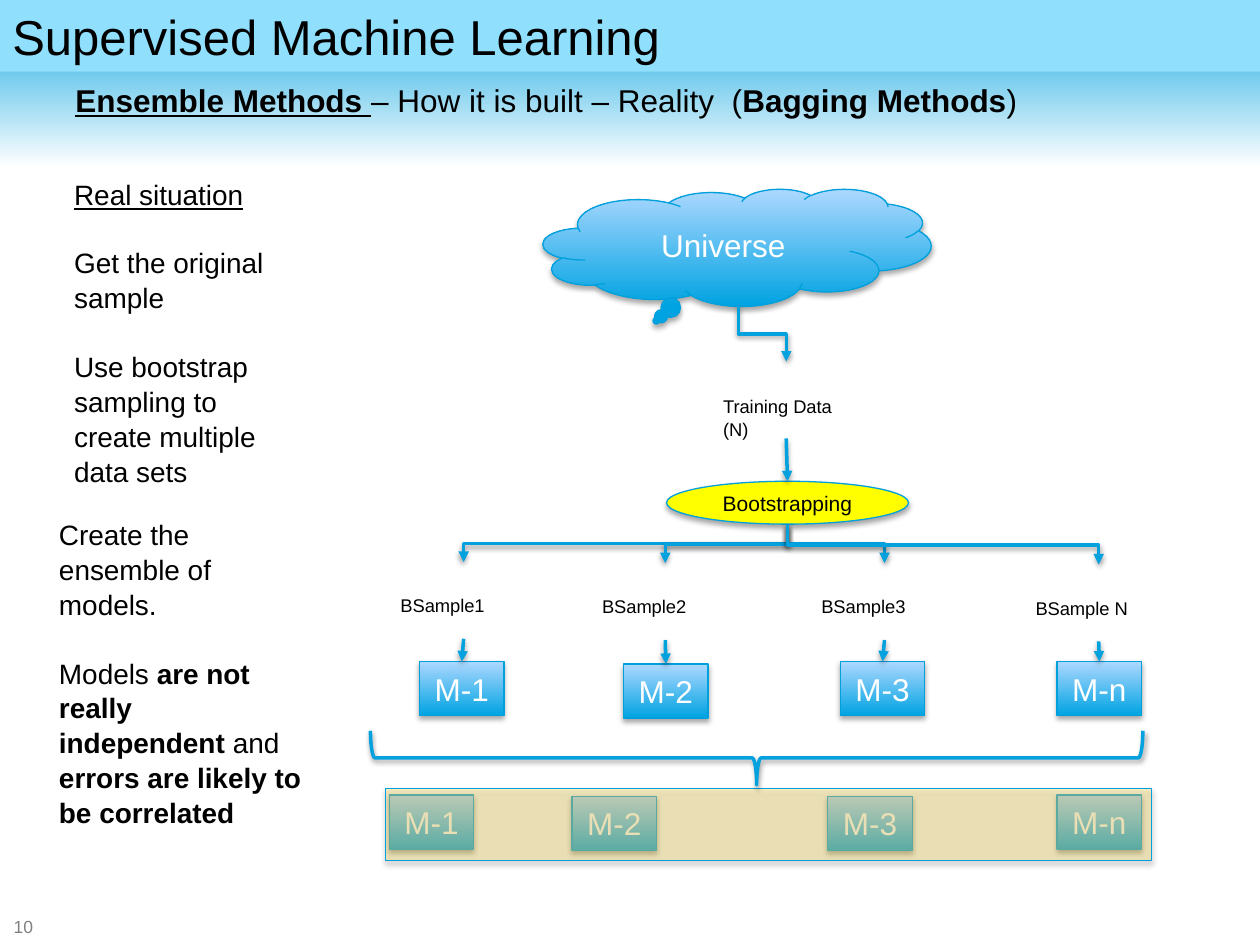
"""Build the bagging slide on a grid of 100 columns by 75 rows."""
from dataclasses import dataclass

from lxml import etree
from pptx import Presentation
from pptx.dml.color import RGBColor
from pptx.enum.shapes import MSO_CONNECTOR, MSO_SHAPE
from pptx.enum.text import MSO_ANCHOR, PP_ALIGN
from pptx.oxml.ns import qn
from pptx.util import Inches, Pt

RECTANGLE, ELLIPSE = MSO_SHAPE.RECTANGLE, MSO_SHAPE.OVAL
CLOUD, BRACE = MSO_SHAPE.CLOUD_CALLOUT, MSO_SHAPE.RIGHT_BRACE
STRAIGHT, ELBOW = MSO_CONNECTOR.STRAIGHT, MSO_CONNECTOR.ELBOW
LEFT, CENTER = PP_ALIGN.LEFT, PP_ALIGN.CENTER
TOP, MIDDLE = MSO_ANCHOR.TOP, MSO_ANCHOR.MIDDLE

COLUMNS, ROWS, CELL = 100, 75, 0.1
BLACK, WHITE, GREY = "000000", "FFFFFF", "808080"
OUTLINE, FLOW = "00A0DD", "03A2DF"
BLUE_FADE = ("00A3E2", "ADD8FF")
MODEL_WIDTH, MODEL_HEIGHT = 6.7, 4.3
HUB_X, HUB_BOTTOM = 62.5, 41.7


@dataclass(frozen=True)
class Area:
    left: float
    top: float
    width: float
    height: float

    def lengths(self) -> list:
        return [grid(n) for n in (self.left, self.top, self.width, self.height)]


@dataclass(frozen=True)
class Span:
    text: str
    bold: bool = False
    underline: bool = False


@dataclass(frozen=True)
class Branch:
    sample: str
    model: str
    sample_left: float
    sample_top: float
    model_left: float
    model_top: float
    pooled_left: float
    pooled_top: float


BRANCHES = (
    Branch("BSample1", "M-1", 30.8, 46.6, 33.3, 52.5, 30.9, 63.1),
    Branch("BSample2", "M-2", 46.8, 46.7, 49.5, 52.7, 45.4, 63.2),
    Branch("BSample3", "M-3", 64.2, 46.7, 66.7, 52.5, 65.7, 63.2),
    Branch("BSample N", "M-n", 81.2, 46.8, 83.9, 52.5, 83.9, 63.1),
)
SITUATION = (
    (Span("Real situation", underline=True),),
    (Span("Get the original sample"),),
    (Span("Use bootstrap sampling to create multiple data sets"),),
)
ENSEMBLE = (
    (Span("Create the ensemble of models."),),
    (Span("Models "), Span("are not really independent ", bold=True),
     Span("and "), Span("errors are likely to be correlated", bold=True)),
)
SUBTITLE = ((Span("Ensemble Methods ", bold=True, underline=True),
             Span("– How it is built – Reality  ("),
             Span("Bagging Methods", bold=True), Span(")")),)


def grid(cells: float) -> int:
    return Inches(cells * CELL)


def color(value: str) -> RGBColor:
    return RGBColor.from_string(value)


def plain(text: str) -> tuple:
    return ((Span(text),),)


def write(frame, paragraphs: tuple, size: float, ink: str = BLACK,
          align=LEFT, anchor=TOP, spacing: float = 1.04) -> None:
    frame.word_wrap = True
    frame.vertical_anchor = anchor
    for index, spans in enumerate(paragraphs):
        paragraph = frame.add_paragraph() if index else frame.paragraphs[0]
        paragraph.alignment = align
        paragraph.line_spacing = spacing
        if index:
            paragraph.space_before = Pt(19.1)
        for span in spans:
            run = paragraph.add_run()
            run.text = span.text
            run.font.name, run.font.size = "Arial", Pt(size)
            run.font.bold, run.font.underline = span.bold, span.underline
            run.font.color.rgb = color(ink)


def add_text(slide, area: Area, paragraphs: tuple, size: float, **style) -> None:
    box = slide.shapes.add_textbox(*area.lengths())
    write(box.text_frame, paragraphs, size, **style)


def cast_shadow(effects, distance: float, opacity: int) -> None:
    shadow = etree.SubElement(
        effects, qn("a:outerShdw"), blurRad=str(Pt(3.1)), dist=str(Pt(distance)),
        dir="5400000", rotWithShape="0")
    ink = etree.SubElement(shadow, qn("a:srgbClr"), val=BLACK)
    etree.SubElement(ink, qn("a:alpha"), val=str(opacity * 1000))


def add_block(slide, preset, area: Area, fill=None, line: str = "", weight: float = 0.75,
              angle: int = 90, opacity: int = 100, shadow: tuple = (1.8, 35)):
    block = slide.shapes.add_shape(preset, *area.lengths())
    block.shadow.inherit = False
    if isinstance(fill, tuple):
        block.fill.gradient()
        block.fill.gradient_angle = angle
        for stop, value in zip(block.fill.gradient_stops, fill):
            stop.color.rgb = color(value)
    elif fill:
        block.fill.solid()
        block.fill.fore_color.rgb = color(fill)
        if opacity < 100:
            ink = block._element.spPr.find(qn("a:solidFill"))[0]
            etree.SubElement(ink, qn("a:alpha"), val=str(opacity * 1000))
    else:
        block.fill.background()
    if line:
        block.line.color.rgb = color(line)
        block.line.width = Pt(weight)
        cast_shadow(block._element.spPr.find(qn("a:effectLst")), *shadow)
    else:
        block.line.fill.background()
    return block


def add_model(slide, label: str, left: float, top: float):
    area = Area(left, top, MODEL_WIDTH, MODEL_HEIGHT)
    model = add_block(slide, RECTANGLE, area, BLUE_FADE, OUTLINE)
    write(model.text_frame, plain(label), 18, WHITE, CENTER, MIDDLE, 1)
    return model


def add_arrow(slide, kind, start: tuple, end: tuple):
    arrow = slide.shapes.add_connector(kind, *[grid(n) for n in (*start, *end)])
    arrow.line.color.rgb = color(FLOW)
    arrow.line.width = Pt(2)
    properties = arrow._element.spPr
    etree.SubElement(properties.find(qn("a:ln")), qn("a:tailEnd"), type="triangle")
    cast_shadow(etree.SubElement(properties, qn("a:effectLst")), 1.6, 38)
    return arrow


def add_drop(slide, start: tuple, end: tuple) -> None:
    (x1, y1), (x2, y2) = start, end
    middle_x, middle_y = (x1 + x2) / 2, (y1 + y2) / 2
    half_run, half_drop = abs(x2 - x1) / 2, (y2 - y1) / 2
    side = 1 if x2 > x1 else -1
    drop = add_arrow(slide, ELBOW,
                     (middle_x + side * half_drop, middle_y - half_run),
                     (middle_x - side * half_drop, middle_y + half_run))
    turn = 270 if side > 0 else 90
    drop._element.spPr.find(qn("a:xfrm")).set("rot", str(turn * 60000))


def add_header(slide) -> None:
    add_block(slide, RECTANGLE, Area(0, 0, COLUMNS, 13.3), (FLOW, WHITE), angle=270)
    add_text(slide, Area(0.1, 72.7, 3.9, 1.6), plain("10"), 10, ink=GREY, anchor=MIDDLE)
    banner = add_block(slide, RECTANGLE, Area(0, 0, COLUMNS, 5.7), "8FDFFD")
    write(banner.text_frame, plain("Supervised Machine Learning"), 28, spacing=1)
    add_text(slide, Area(5, 5.8, 87.5, 7.1), SUBTITLE, 18)


def add_diagram(slide) -> None:
    models = [add_model(slide, b.model, b.model_left, b.model_top) for b in BRANCHES]
    for branch in BRANCHES:
        add_model(slide, branch.model, branch.pooled_left, branch.pooled_top)
    add_block(slide, RECTANGLE, Area(30.6, 62.6, 60.8, 5.7), "FEE16A", OUTLINE, opacity=36)
    universe = add_block(slide, CLOUD, Area(43.1, 15, 30.8, 9.3), BLUE_FADE, OUTLINE)
    write(universe.text_frame, plain("Universe"), 18, WHITE, CENTER, MIDDLE, 1)
    add_text(slide, Area(56.4, 30.8, 12.8, 4.5), plain("Training Data (N)"), 10.5)
    add_drop(slide, (58.6, 24.3), (62.4, 28.7))
    brace = add_block(slide, BRACE, Area(57.9, 29.5, 4.3, 61.3), None, FLOW, 2,
                      shadow=(1.6, 38))
    brace.rotation = 90
    hub = add_block(slide, ELLIPSE, Area(52.9, 38.2, 19.2, 3.4), "FFFF00", OUTLINE)
    write(hub.text_frame, plain("Bootstrapping"), 12, BLACK, CENTER, MIDDLE, 1)
    add_arrow(slide, STRAIGHT, (62.4, 34.8), (HUB_X, 38.2))
    for branch, model in zip(BRANCHES, models):
        add_text(slide, Area(branch.sample_left, branch.sample_top, 12.8, 2.8),
                 plain(branch.sample), 10.5)
        x = branch.sample_left + 6
        add_drop(slide, (HUB_X, HUB_BOTTOM), (x, branch.sample_top - 2))
        arrow = add_arrow(slide, STRAIGHT, (x, branch.sample_top + 4.1),
                          (x, branch.model_top))
        arrow.end_connect(model, 0)


def main() -> None:
    deck = Presentation()
    deck.slide_width, deck.slide_height = grid(COLUMNS), grid(ROWS)
    slide = deck.slides.add_slide(deck.slide_layouts[6])
    add_header(slide)
    add_text(slide, Area(4.9, 13.5, 17.7, 25.2), SITUATION, 16)
    add_text(slide, Area(3.7, 40.5, 21.3, 25.2), ENSEMBLE, 16)
    add_diagram(slide)
    deck.save("out.pptx")


if __name__ == "__main__":
    main()
